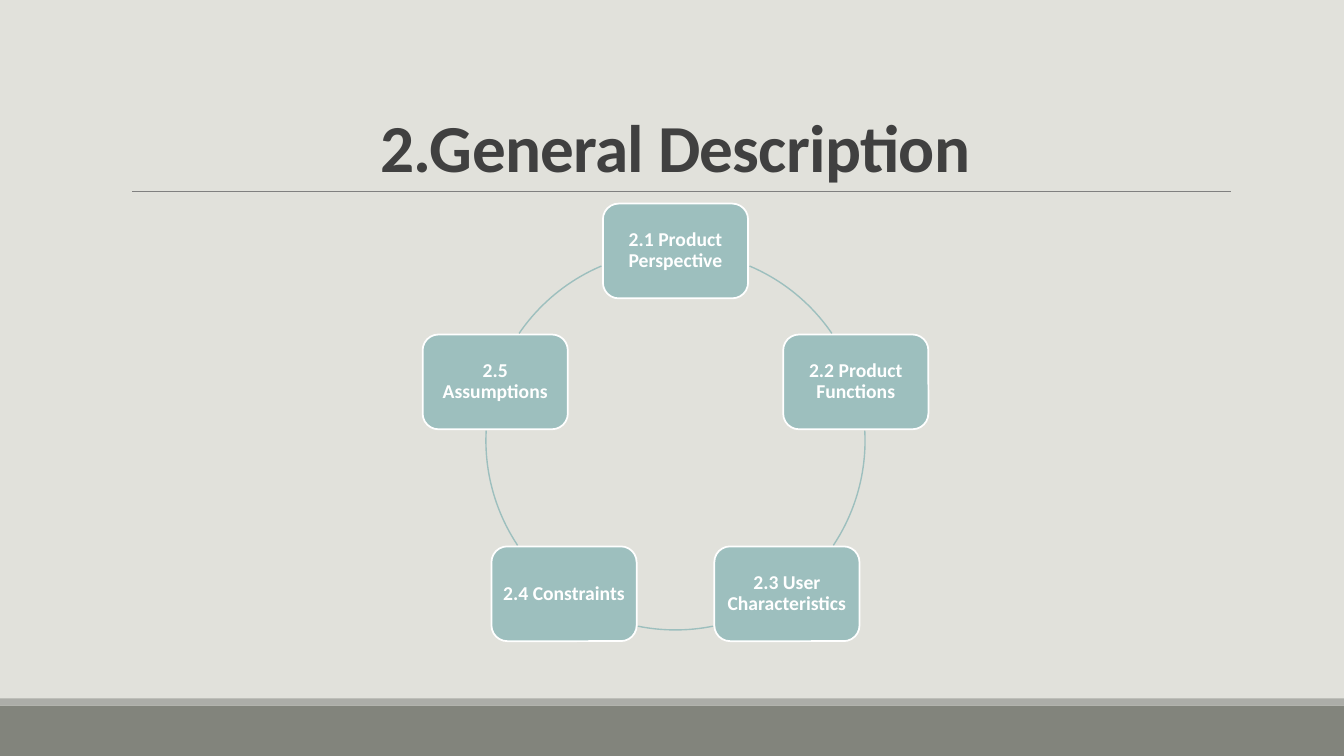
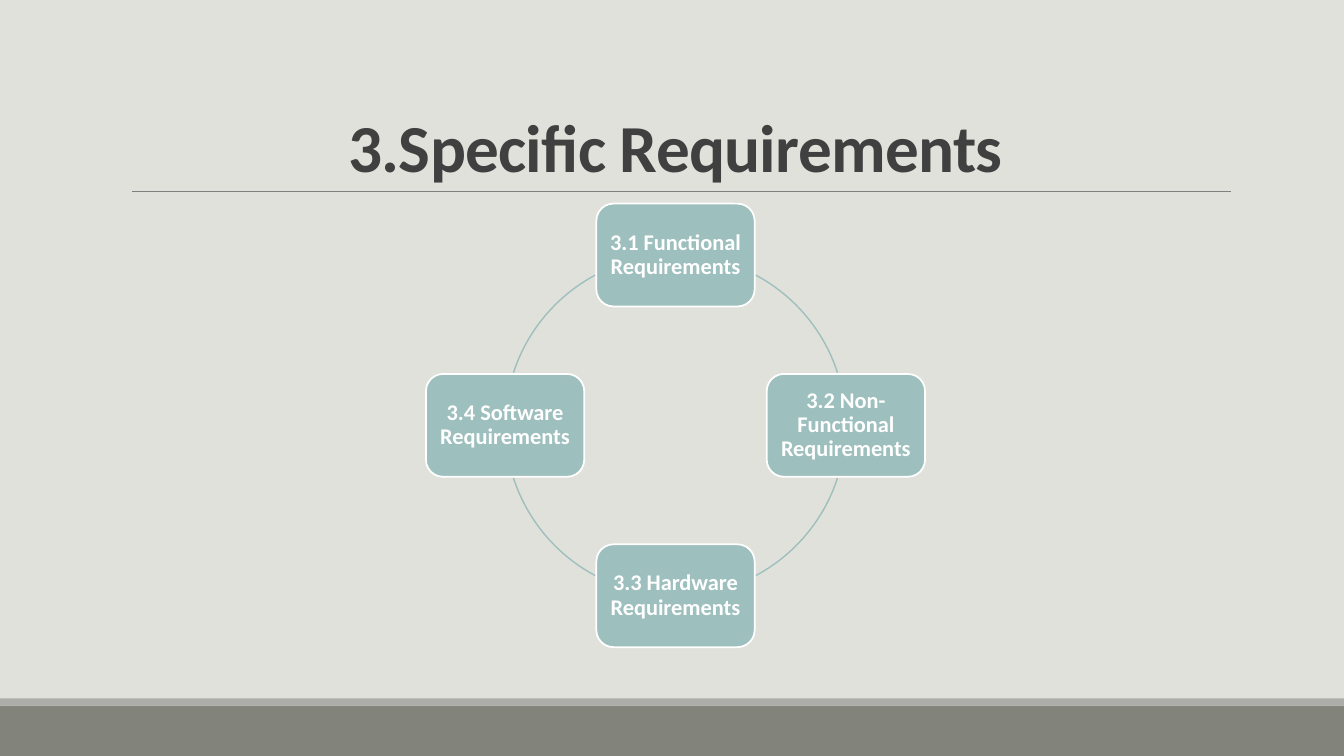
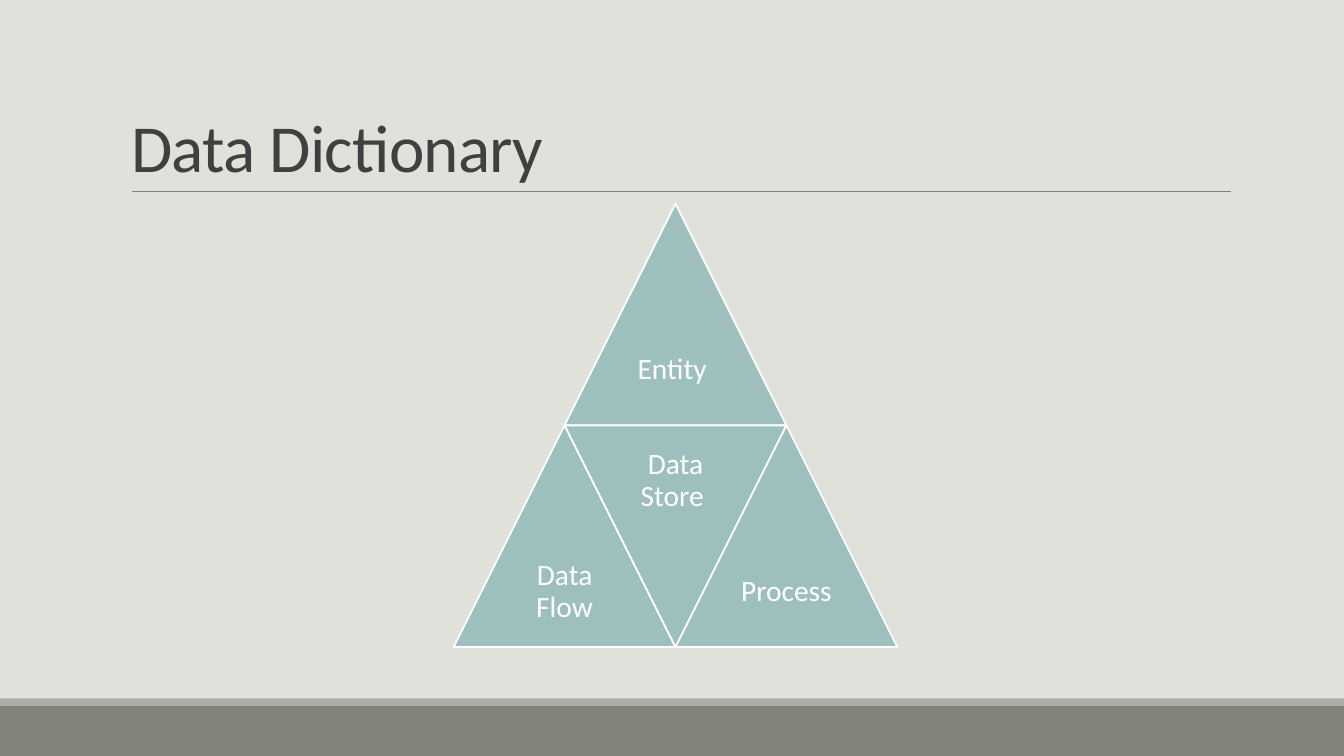
from math import cos, radians, sin

from pptx import Presentation
from pptx.dml.color import RGBColor
from pptx.enum.shapes import MSO_CONNECTOR as Connector, MSO_SHAPE as Shape
from pptx.enum.text import MSO_ANCHOR as Anchor, MSO_AUTO_SIZE as AutoSize, PP_ALIGN as Align
from pptx.oxml.ns import qn
from pptx.util import Inches, Pt

# Colours
PAPER = RGBColor(0xE1, 0xE1, 0xDB)
BAND = RGBColor(0x82, 0x84, 0x7C)
STRIP = RGBColor(0xAC, 0xAD, 0xA8)
RULE = RGBColor(0x80, 0x80, 0x80)
INK = RGBColor(0x40, 0x40, 0x40)
TEAL = RGBColor(0x9D, 0xBF, 0xBE)
WHITE = RGBColor(0xFF, 0xFF, 0xFF)

# Slide grid, in inches
WIDTH, HEIGHT = 13.33, 7.5
BAND_TOP, STRIP_TOP = 7, 6.93
TITLE_BOTTOM = 1.9
MIDDLE, DIAGRAM_TOP = 6.7, 2.02


def write(box, text, size, color=WHITE, bold=False, align=Align.CENTER,
          anchor=Anchor.MIDDLE, leading=0.9, inset=None, tracking=None):
    frame = box.text_frame
    frame.word_wrap = True
    frame.auto_size = AutoSize.NONE
    frame.vertical_anchor = anchor
    if inset is not None:
        frame.margin_left = frame.margin_right = Inches(inset)
        frame.margin_top = frame.margin_bottom = Inches(inset)
    para = frame.paragraphs[0]
    para.alignment, para.line_spacing = align, leading
    span = para.add_run()
    span.text = text
    font = span.font
    font.name, font.size, font.bold = "Calibri", Pt(size), bold
    font.color.rgb = color
    if tracking is not None:
        font._element.set("spc", str(tracking))


def draw(page, kind, left, top, width, height, fill=None, line=None, weight=1.25):
    shape = page.shapes.add_shape(kind, Inches(left), Inches(top), Inches(width), Inches(height))
    shape.shadow.inherit = False
    if fill is None:
        shape.fill.background()
    else:
        shape.fill.solid()
        shape.fill.fore_color.rgb = fill
    if line is None:
        shape.line.fill.background()
    else:
        shape.line.color.rgb = line
        shape.line.width = Pt(weight)
    return shape


deck = Presentation()
deck.slide_width, deck.slide_height = Inches(WIDTH), Inches(HEIGHT)

# Shared background and title place
background = deck.slide_master.background.fill
background.solid()
background.fore_color.rgb = PAPER
layout = deck.slide_layouts[5]
heading = layout.placeholders[0]
heading.left, heading.top = Inches(1.2), Inches(0.31)
heading.width, heading.height = Inches(11), Inches(TITLE_BOTTOM - 0.31)

# Pages with title, rule and footer bands
pages = []
for title, bold, align in [
    ("2.General Description", True, Align.CENTER),
    ("3.Specific Requirements", True, Align.CENTER),
    ("Data Dictionary ", False, Align.LEFT),
]:
    page = deck.slides.add_slide(layout)
    draw(page, Shape.RECTANGLE, 0, BAND_TOP, WIDTH, HEIGHT - BAND_TOP, fill=BAND)
    draw(page, Shape.RECTANGLE, 0, STRIP_TOP, WIDTH, BAND_TOP - STRIP_TOP, fill=STRIP)
    rule = page.shapes.add_connector(Connector.STRAIGHT, Inches(1.31), Inches(TITLE_BOTTOM),
                                     Inches(12.21), Inches(TITLE_BOTTOM))
    rule.line.color.rgb, rule.line.width = RULE, Pt(0.5)
    properties = rule._element.spPr
    properties.append(properties.makeelement(qn("a:effectLst"), {}))
    write(page.shapes.title, title, 48, color=INK, bold=bold, align=align,
          anchor=Anchor.BOTTOM, leading=0.85, tracking=-50)
    pages.append(page)

# Rings of boxes, clockwise from the top
rings = [
    (pages[0], 1.44, 0.94, 1.88, 14, 0.06, [
        "2.1 Product Perspective", "2.2 Product Functions", "2.3 User Characteristics",
        "2.4 Constraints", "2.5 Assumptions"]),
    (pages[1], 1.57, 1.02, 1.69, 16, 0.07, [
        "3.1 Functional Requirements", "3.2 Non-Functional Requirements",
        "3.3 Hardware Requirements", "3.4 Software Requirements"]),
]
for page, width, height, radius, size, inset, labels in rings:
    center = DIAGRAM_TOP + height / 2 + radius
    step = 360 / len(labels)
    stops = []
    for index, label in enumerate(labels):
        angle = index * step - 90
        across, down = radius * cos(radians(angle)), radius * sin(radians(angle))
        box = draw(page, Shape.ROUNDED_RECTANGLE, MIDDLE + across - width / 2,
                   center + down - height / 2, width, height, fill=TEAL, line=WHITE)
        write(box, label, size, bold=True, inset=inset)

        # Angles at which the ring leaves this box on either side
        for turn in (-0.2, 0.2):
            edge = angle
            while (abs(radius * cos(radians(edge)) - across) < width / 2 + 0.01
                   and abs(radius * sin(radians(edge)) - down) < height / 2 + 0.01):
                edge += turn
            stops.append(edge)

    # Arcs from each box to the next; angles count in 1/60000 degree
    for index in range(len(labels)):
        arc = draw(page, Shape.ARC, MIDDLE - radius, center - radius,
                   2 * radius, 2 * radius, line=TEAL, weight=1)
        ends = stops[2 * index + 1], stops[(2 * index + 2) % len(stops)]
        for number, edge in enumerate(ends):
            arc.adjustments[number] = edge % 360 * 0.6

# Pyramid of four triangles: columns are half sides, rows whole sides
SIDE = 2.2
for label, column, row, inverted in [
    ("Entity ", 0, 0, False),
    ("Data Flow", -1, 1, False),
    ("Data Store ", 0, 1, True),
    ("Process", 1, 1, False),
]:
    left = MIDDLE + (column - 1) * SIDE / 2
    top = DIAGRAM_TOP + row * SIDE
    triangle = draw(pages[2], Shape.ISOSCELES_TRIANGLE, left, top, SIDE, SIDE,
                    fill=TEAL, line=WHITE)
    triangle.rotation = 180 if inverted else 0
    label_top = top if inverted else top + SIDE / 2
    box = pages[2].shapes.add_textbox(Inches(left + SIDE / 4), Inches(label_top),
                                      Inches(SIDE / 2), Inches(SIDE / 2))
    write(box, label, 21, inset=0.09)

deck.save("out.pptx")
